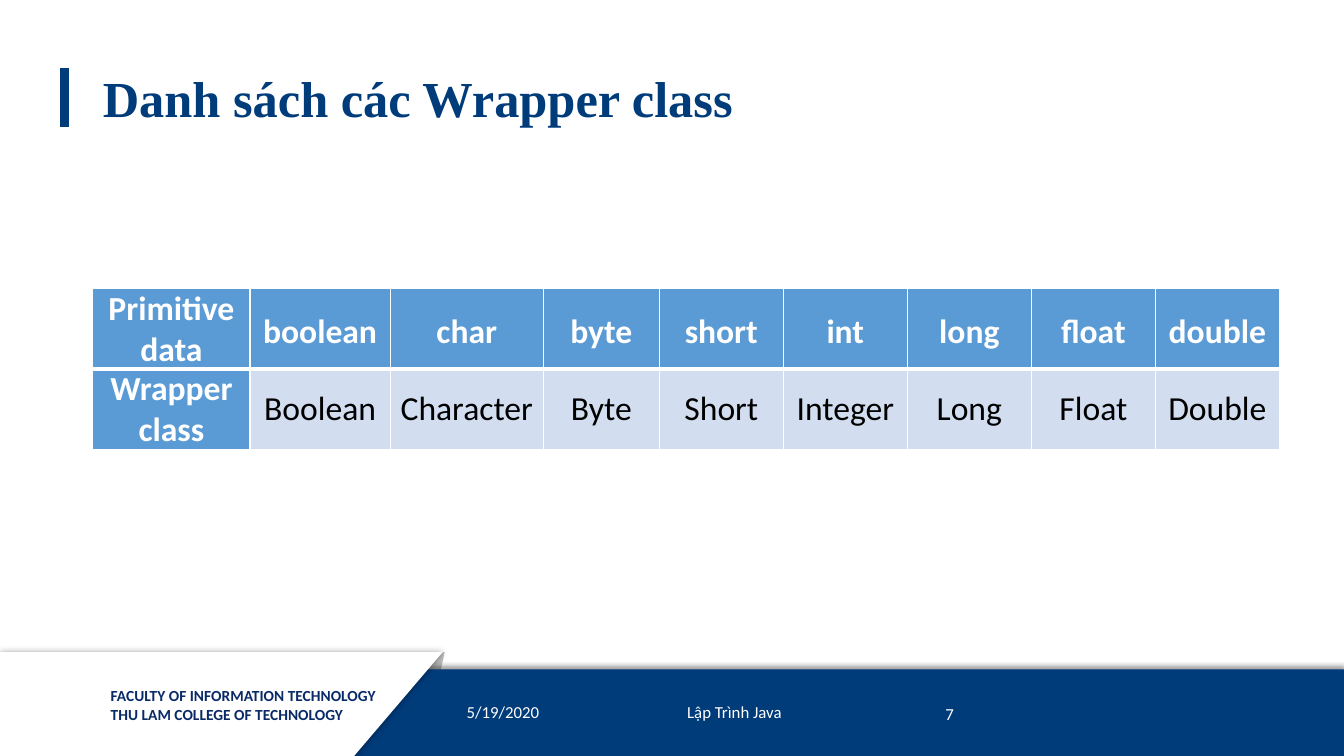
import pptx
import pptx.util
import pptx.dml.color
import pptx.enum.shapes
import pptx.enum.text
import pptx.oxml
import pptx.oxml.ns
import lxml.etree

Inches, Pt = pptx.util.Inches, pptx.util.Pt
SHAPE = pptx.enum.shapes.MSO_SHAPE
ALIGN = pptx.enum.text.PP_ALIGN
MIDDLE = pptx.enum.text.MSO_ANCHOR.MIDDLE
qn = pptx.oxml.ns.qn

WIDTH, HEIGHT = 13.33, 7.5
NAVY, WHITE, BLACK = "003B7A", "FFFFFF", "000000"
HEADER_BLUE, PALE_BLUE, FACULTY_BLUE, FOLD_GREY = "5B9BD5", "D2DEEF", "092A67", "BFBFBF"

TITLE = "Danh sách các Wrapper class"
WRAPPERS = [
    ["Primitive data", "boolean", "char", "byte", "short", "int", "long", "float", "double"],
    ["Wrapper class", "Boolean", "Character", "Byte", "Short", "Integer", "Long", "Float", "Double"],
]
COLUMN_WIDTHS = [1.56, 1.39, 1.52, 1.15] + [1.23] * 5
ROW_HEIGHT = 0.8
TABLE_LEFT, TABLE_TOP = 0.92, 2.86

# box, fill, rotated tab?, shadow (blur, distance, direction) or None
FOOTER_SHAPES = [
    ((3.35, 6.44, 1.03, 1.09), FOLD_GREY, True, None),
    ((-0.01, 6.64, 13.34, 0.86), NAVY, False, (4, 2, 270)),
    ((1.68, 4.79, 1.03, 4.39), WHITE, True, (5, 0, 0)),
    ((1.1, 6.77, 2.15, 0.5), WHITE, False, None),
]
FACULTY = ["FACULTY OF INFORMATION TECHNOLOGY", "THU LAM COLLEGE OF TECHNOLOGY"]
FOOTER_FIELDS = [
    ((4.53, 6.86, 1.26, 0.4), "5/19/2020", ALIGN.LEFT),
    ((5.97, 6.86, 2.63, 0.4), "Lập Trình Java", ALIGN.CENTER),
    ((8.8, 6.88, 0.76, 0.4), "7", ALIGN.RIGHT),
]


def rgb(value):
    return pptx.dml.color.RGBColor.from_string(value)


def inches(values):
    return [Inches(value) for value in values]


def add_run(paragraph, text, size, color, bold=False, font="Calibri"):
    run = paragraph.add_run()
    run.text = text
    run.font.size, run.font.bold, run.font.name = Pt(size), bold, font
    run.font.color.rgb = rgb(color)


def add_shadow(shape, blur, distance, direction):
    """Replace the empty effect list by a black shadow of 40 % opacity."""
    effects = shape._element.spPr.find(qn("a:effectLst"))
    shadow = lxml.etree.SubElement(
        effects, qn("a:outerShdw"), blurRad=str(Pt(blur)), dist=str(Pt(distance)),
        dir=str(direction * 60000), rotWithShape="0")
    color = lxml.etree.SubElement(shadow, qn("a:srgbClr"), val=BLACK)
    lxml.etree.SubElement(color, qn("a:alpha"), val="40000")


def add_footer_shape(slide, box, fill, is_tab, shadow):
    kind = SHAPE.FLOWCHART_MANUAL_INPUT if is_tab else SHAPE.RECTANGLE
    shape = slide.shapes.add_shape(kind, *inches(box))
    shape.shadow.inherit = False
    shape.fill.solid()
    shape.fill.fore_color.rgb = rgb(fill)
    shape.line.fill.background()
    if is_tab:
        shape.rotation = 270
        shape._element.spPr.find(qn("a:xfrm")).set("flipV", "1")
    if shadow:
        add_shadow(shape, *shadow)


def add_text(slide, box, lines, size, color, align=ALIGN.LEFT, bold=False, anchor=None):
    frame = slide.shapes.add_textbox(*inches(box)).text_frame
    frame.word_wrap = True
    if anchor is not None:
        frame.vertical_anchor = anchor
    for index, line in enumerate(lines):
        paragraph = frame.add_paragraph() if index else frame.paragraphs[0]
        paragraph.alignment = align
        add_run(paragraph, line, size, color, bold)


def set_borders(cell, widths):
    """Draw white cell borders; they must precede the fill in the XML."""
    properties = cell._tc.get_or_add_tcPr()
    for index, (side, width) in enumerate(widths.items()):
        line = pptx.oxml.parse_xml(
            f'<a:{side} {pptx.oxml.ns.nsdecls("a")} w="{Pt(width)}"><a:solidFill>'
            f'<a:srgbClr val="{WHITE}"/></a:solidFill></a:{side}>')
        properties.insert(index, line)


def add_wrapper_table(slide):
    rows, columns = len(WRAPPERS), len(COLUMN_WIDTHS)
    size = (sum(COLUMN_WIDTHS), rows * ROW_HEIGHT)
    table = slide.shapes.add_table(rows, columns, *inches((TABLE_LEFT, TABLE_TOP, *size))).table
    for column, width in zip(table.columns, COLUMN_WIDTHS):
        column.width = Inches(width)
    for r, names in enumerate(WRAPPERS):
        table.rows[r].height = Inches(ROW_HEIGHT)
        for c, name in enumerate(names):
            cell = table.cell(r, c)
            is_header = r == 0 or c == 0
            cell.fill.solid()
            cell.fill.fore_color.rgb = rgb(HEADER_BLUE if is_header else PALE_BLUE)
            set_borders(cell, {"lnL": 1, "lnR": 1, "lnT": 3 if r else 1, "lnB": 1 if r else 3})
            cell.margin_left = cell.margin_right = Inches(0.07)
            cell.margin_top = cell.margin_bottom = 0
            cell.vertical_anchor = MIDDLE
            paragraph = cell.text_frame.paragraphs[0]
            paragraph.alignment = ALIGN.CENTER
            if r == 0 and c > 0:
                paragraph.line_spacing = 1.15
            else:
                paragraph.space_after = Pt(15)
            add_run(paragraph, name, 24, WHITE if is_header else BLACK, is_header)


def add_title(slide):
    title = slide.shapes.title
    title.left, title.top, title.width, title.height = inches((0.92, 0.42, 11.5, 1.16))
    title.text_frame.vertical_anchor = MIDDLE
    paragraph = title.text_frame.paragraphs[0]
    paragraph.alignment = ALIGN.LEFT
    paragraph.line_spacing = 0.9
    add_run(paragraph, TITLE, 36, NAVY, True, "Times New Roman")

    bar = slide.shapes.add_connector(
        pptx.enum.shapes.MSO_CONNECTOR.STRAIGHT, *inches((0.64, 0.67, 0.64, 1.26)))
    bar.line.color.rgb = rgb(NAVY)
    bar.line.width = Pt(6)
    lxml.etree.SubElement(bar._element.spPr, qn("a:effectLst"))


def main():
    deck = pptx.Presentation()
    deck.slide_width, deck.slide_height = inches((WIDTH, HEIGHT))
    slide = deck.slides.add_slide(deck.slide_layouts[5])
    for footer_shape in FOOTER_SHAPES:
        add_footer_shape(slide, *footer_shape)
    add_text(slide, (1, 6.76, 3.06, 0.47), FACULTY, 11, FACULTY_BLUE, bold=True)
    for box, text, align in FOOTER_FIELDS:
        add_text(slide, box, [text], 12, WHITE, align, anchor=MIDDLE)
    add_title(slide)
    add_wrapper_table(slide)
    deck.save("out.pptx")


if __name__ == "__main__":
    main()
